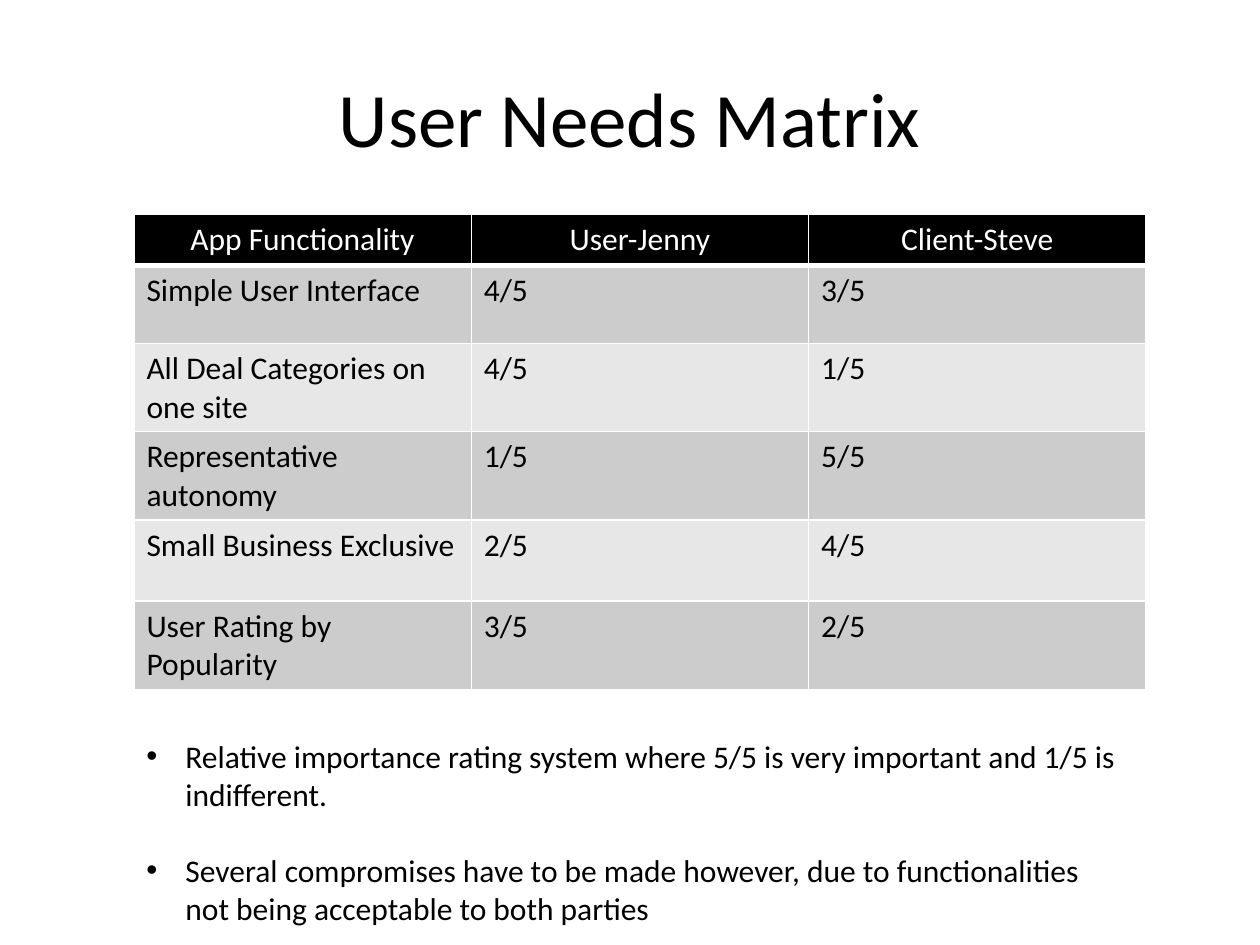
from lxml import etree
from pptx import Presentation
from pptx import util as u
from pptx.dml.color import RGBColor
from pptx.enum import text
from pptx.oxml.ns import qn

COLORS = {"black": "000000", "white": "FFFFFF", "dark": "CCCCCC", "light": "E7E7E7"}
FONT = "Calibri"
TITLE = "User Needs Matrix"
HEADER = ("App Functionality", "User-Jenny", "Client-Steve")
RATINGS = [
    ("Simple User Interface", "4/5", "3/5"),
    ("All Deal Categories on one site", "4/5", "1/5"),
    ("Representative autonomy", "1/5", "5/5"),
    ("Small Business Exclusive", "2/5", "4/5"),
    ("User Rating by Popularity", "3/5", "2/5"),
]
ROW_HEIGHTS = (1.03, 1.57, 1.6, 1.4, 1.64, 1.4)
COL_WIDTH = 6.8
NOTES = [
    "Relative importance rating system where 5/5 is very important and 1/5 is indifferent.",
    "Several compromises have to be made however, due to functionalities not being "
    "acceptable to both parties",
]


def add_run(p, words, size=18, color="black"):
    r = p.add_run()
    r.text = words
    r.font.name = FONT
    r.font.size = u.Pt(size)
    r.font.color.rgb = RGBColor.from_string(COLORS[color])


def add_box(s, left, top, width, height):
    sp = s.shapes.add_textbox(u.Cm(left), u.Cm(top), u.Cm(width), u.Cm(height))
    sp.text_frame.word_wrap = True
    return sp.text_frame


def set_borders(cell, bottom):
    tcPr = cell._tc.get_or_add_tcPr()
    widths = {"a:lnL": 1, "a:lnR": 1, "a:lnT": 1, "a:lnB": bottom}
    for i, (tag, width) in enumerate(widths.items()):
        ln = etree.Element(qn(tag), w=str(u.Pt(width)))
        fill = etree.SubElement(ln, qn("a:solidFill"))
        etree.SubElement(fill, qn("a:srgbClr"), val=COLORS["white"])
        tcPr.insert(i, ln)


def add_title(s):
    tf = add_box(s, 1.27, 0.76, 22.86, 3.18)
    tf.vertical_anchor = text.MSO_ANCHOR.MIDDLE
    p = tf.paragraphs[0]
    p.alignment = text.PP_ALIGN.CENTER
    add_run(p, TITLE, 44)


def add_matrix(s):
    rows = [HEADER] + RATINGS
    table = s.shapes.add_table(
        len(rows), len(HEADER), u.Cm(2.7), u.Cm(4.32),
        u.Cm(COL_WIDTH * len(HEADER)), u.Cm(sum(ROW_HEIGHTS)),
    ).table
    for col in table.columns:
        col.width = u.Cm(COL_WIDTH)
    for i, (row, height) in enumerate(zip(rows, ROW_HEIGHTS)):
        table.rows[i].height = u.Cm(height)
        head = i == 0
        fill = "black" if head else "dark" if i % 2 else "light"
        for j, words in enumerate(row):
            cell = table.cell(i, j)
            cell.fill.solid()
            cell.fill.fore_color.rgb = RGBColor.from_string(COLORS[fill])
            set_borders(cell, 3 if head else 1)
            p = cell.text_frame.paragraphs[0]
            p.alignment = text.PP_ALIGN.CENTER if head else text.PP_ALIGN.LEFT
            add_run(p, words, color="white" if head else "black")


def add_notes(s):
    tf = add_box(s, 2.7, 14.73, 20.2, 4.88)
    for i, words in enumerate(NOTES):
        p = tf.add_paragraph() if i else tf.paragraphs[0]
        if i:
            p.space_before = u.Pt(22)
        pPr = p._p.get_or_add_pPr()
        pPr.set("marL", str(u.Cm(0.79)))
        pPr.set("indent", str(-u.Cm(0.79)))
        etree.SubElement(pPr, qn("a:buFont"), typeface="Arial")
        etree.SubElement(pPr, qn("a:buChar"), char="•")
        add_run(p, words)


def main():
    prs = Presentation()
    prs.slide_width, prs.slide_height = u.Cm(25.4), u.Cm(19.05)
    s = prs.slides.add_slide(prs.slide_layouts[6])
    add_title(s)
    add_matrix(s)
    add_notes(s)
    prs.save("out.pptx")


if __name__ == "__main__":
    main()
